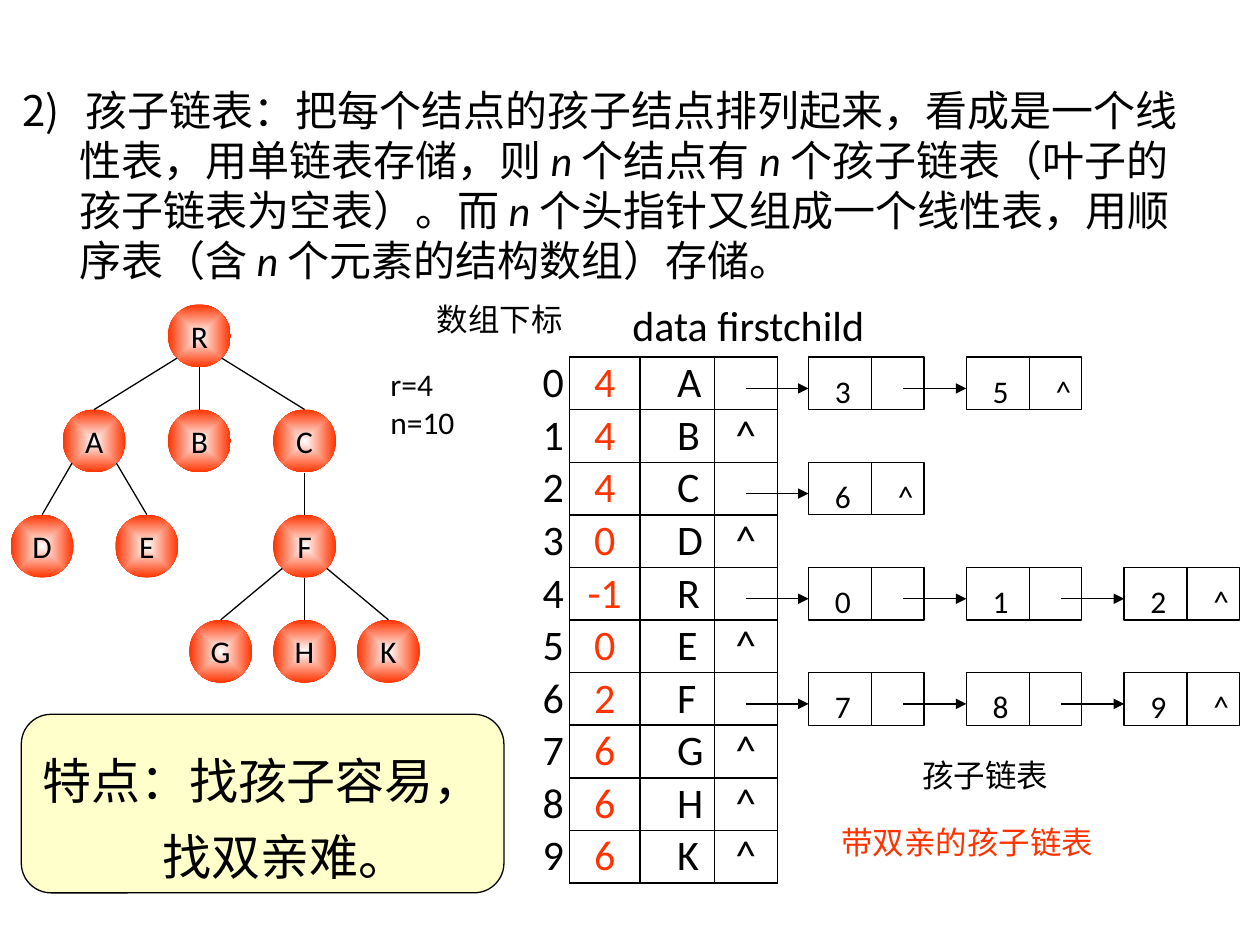
from lxml.etree import SubElement
from pptx import Presentation
from pptx.dml.color import RGBColor
from pptx.enum.shapes import MSO_CONNECTOR, MSO_SHAPE
from pptx.enum.text import MSO_ANCHOR, PP_ALIGN
from pptx.oxml import parse_xml
from pptx.oxml.ns import nsdecls, qn
from pptx.util import Cm, Pt

BLACK, RED, YELLOW, WHITE = "000000", "FF3300", "FFFFCC", "FFFFFF"
LATIN, CHINESE = "Calibri", "Noto Sans CJK SC"

INTRO = [
    ["孩子链表：把每个结点的孩子结点排列起来，看成是一个线"],
    ["性表，用单链表存储，则 ", "n ", "个结点有 ", "n ", "个孩子链表（叶子的"],
    ["孩子链表为空表）。而 ", "n ", "个头指针又组成一个线性表，用顺"],
    ["序表（含 ", "n ", "个元素的结构数组）存储。"],
]
PARENTS = [4, 4, 4, 0, -1, 0, 2, 6, 6, 6]
NAMES = "ABCDREFGHK"
CHAINS = {0: [3, 5], 2: [6], 4: [0, 1, 2], 6: [7, 8, 9]}
TREE = {
    "R": (4.02, 0), "A": (1.9, 1), "B": (4.02, 1), "C": (6.14, 1),
    "D": (0.85, 2), "E": (2.96, 2), "F": (6.14, 2),
    "G": (4.45, 3), "H": (6.14, 3), "K": (7.83, 3),
}
EDGES = ["RA", "RB", "RC", "AD", "AE", "CF", "FG", "FH", "FK"]
LABELS = [
    (["data firstchild"], (12.5, 5.92, 6.07, 1.27), 24, LATIN, BLACK),
    (["数组下标"], (8.56, 5.92, 4.14, 1.27), 18, LATIN, BLACK),
    (["r=4", "n=10"], (7.62, 7.24, 2.51, 2.29), 18, LATIN, BLACK),
    (["孩子链表"], (18.34, 15.11, 4.17, 1.27), 18, CHINESE, BLACK),
    (["带双亲的孩子链表"], (16.71, 16.46, 7.57, 1.27), 18, CHINESE, RED),
]
REMARK = ["特点：找孩子容易，", "找双亲难。"]

TABLE_LEFT, TABLE_TOP, ROW = 10.69, 7.2, 1.06
COLUMNS = [0.79, 1.42, 1.5, 1.27]
CHAIN_LEFT, CHAIN_STEP, NODE_WIDTH, DIVIDER = 16.3, 3.18, 2.33, 1.27
TREE_TOP, LEVEL, RADIUS = 6.77, 2.12, 0.635
NO_STYLE = "{2D5ABB26-0587-4C30-8999-92F81FD0307C}"


def color(value):
    return RGBColor.from_string(value)


def add_span(para, text, size, font=LATIN, ink=BLACK, italic=False):
    span = para.add_run()
    span.text = text
    for name, value in {"name": font, "size": Pt(size), "italic": italic}.items():
        setattr(span.font, name, value)
    span.font.color.rgb = color(ink)
    SubElement(span.font._element, qn("a:ea"), typeface=CHINESE)


def set_frame(frame, anchor=MSO_ANCHOR.TOP, **margins):
    frame.word_wrap = True
    frame.vertical_anchor = anchor
    for side, value in margins.items():
        setattr(frame, f"margin_{side}", Cm(value))


def next_para(frame, index):
    return frame.add_paragraph() if index else frame.paragraphs[0]


def indent(para, left, first=0):
    properties = para._p.get_or_add_pPr()
    properties.set("marL", str(Cm(left)))
    properties.set("indent", str(Cm(first)))
    return properties


def add_line(page, start, end, width=0.75, arrow=False):
    line = page.shapes.add_connector(
        MSO_CONNECTOR.STRAIGHT, *(Cm(value) for value in (*start, *end)))
    line.line.color.rgb = color(BLACK)
    line.line.width = Pt(width)
    if arrow:
        SubElement(line.line._get_or_add_ln(), qn("a:tailEnd"), type="triangle")
    SubElement(line._element.spPr, qn("a:effectLst"))


def add_box(page, kind, place, fill=None):
    box = page.shapes.add_shape(kind, *(Cm(value) for value in place))
    box.shadow.inherit = False
    if fill:
        box.fill.solid()
        box.fill.fore_color.rgb = color(fill)
    else:
        box.fill.background()
    box.line.color.rgb = color(BLACK)
    box.line.width = Pt(0.75)
    return box


def add_intro(page):
    frame = page.shapes.add_textbox(Cm(0.2), Cm(1.47), Cm(25), Cm(4.24)).text_frame
    set_frame(frame, top=0.23)
    for index, pieces in enumerate(INTRO):
        para = next_para(frame, index)
        para.line_spacing = Pt(28.7)
        if index:
            indent(para, 1.15)
        else:
            SubElement(indent(para, 1.27, -1.27), qn("a:buAutoNum"),
                       type="arabicParenR", startAt="2")
        for piece in pieces:
            add_span(para, piece, 24, italic=piece == "n ")


def add_border(cell, sides):
    properties = cell._tc.get_or_add_tcPr()
    for position, side in enumerate(sides):
        properties.insert(position, parse_xml(
            f'<a:ln{side} {nsdecls("a")} w="12700"><a:solidFill>'
            f'<a:srgbClr val="{BLACK}"/></a:solidFill></a:ln{side}>'))


def add_node_table(page):
    rows = [(index, parent, name, "" if index in CHAINS else "^")
            for index, (parent, name) in enumerate(zip(PARENTS, NAMES))]
    table = page.shapes.add_table(
        len(rows), len(COLUMNS), Cm(TABLE_LEFT), Cm(TABLE_TOP),
        Cm(sum(COLUMNS)), Cm(ROW * len(rows))).table
    table.first_row = table.horz_banding = False
    table._tbl.tblPr.find(qn("a:tableStyleId")).text = NO_STYLE
    for column, width in zip(table.columns, COLUMNS):
        column.width = Cm(width)
    for row_index, values in enumerate(rows):
        table.rows[row_index].height = Cm(ROW)
        for column, value in enumerate(values):
            cell = table.cell(row_index, column)
            cell.fill.background()
            cell.vertical_anchor = MSO_ANCHOR.MIDDLE
            cell.margin_top = cell.margin_bottom = cell.margin_right = 0
            cell.margin_left = Cm((0.25, 0, 0.75, 0)[column])
            para = cell.text_frame.paragraphs[0]
            para.alignment = PP_ALIGN.CENTER if column in (1, 3) else PP_ALIGN.LEFT
            add_span(para, str(value), 24, ink=RED if column == 1 else BLACK)
            add_border(cell, "LRTB" if column else "R")


def add_chains(page):
    for row, nodes in CHAINS.items():
        top = TABLE_TOP + row * ROW
        for position, node in enumerate(nodes):
            left = CHAIN_LEFT + position * CHAIN_STEP
            box = add_box(page, MSO_SHAPE.RECTANGLE, (left, top, NODE_WIDTH, ROW))
            set_frame(box.text_frame, MSO_ANCHOR.MIDDLE,
                      left=0.53, right=0, top=0.3, bottom=0)
            para = box.text_frame.paragraphs[0]
            para.alignment = PP_ALIGN.LEFT
            tabs = SubElement(indent(para, 0), qn("a:tabLst"))
            SubElement(tabs, qn("a:tab"), pos=str(Cm(1.05)), algn="l")
            is_last = position == len(nodes) - 1
            add_span(para, f"{node}\t^" if is_last else str(node), 18)
            add_line(page, (left + DIVIDER, top), (left + DIVIDER, top + ROW))
            add_line(page, (left - 1.27, top + 0.63), (left, top + 0.63), arrow=True)


def add_tree(page):
    centers = {name: (x, TREE_TOP + level * LEVEL) for name, (x, level) in TREE.items()}
    for name, (x, y) in centers.items():
        box = add_box(page, MSO_SHAPE.OVAL,
                      (x - RADIUS, y - RADIUS, 2 * RADIUS, 2 * RADIUS))
        box.line.fill.background()
        properties = box._element.spPr
        properties.replace(properties.find(qn("a:noFill")), parse_xml(
            f'<a:gradFill {nsdecls("a")} rotWithShape="1"><a:gsLst>'
            f'<a:gs pos="0"><a:srgbClr val="{WHITE}"/></a:gs>'
            f'<a:gs pos="100000"><a:srgbClr val="{RED}"/></a:gs></a:gsLst>'
            '<a:path path="shape"><a:fillToRect l="50000" t="50000" r="50000" '
            'b="50000"/></a:path></a:gradFill>'))
        set_frame(box.text_frame, MSO_ANCHOR.MIDDLE, left=0, right=0)
        para = box.text_frame.paragraphs[0]
        para.alignment = PP_ALIGN.CENTER
        add_span(para, name, 18)
    for parent, child in EDGES:
        (x, y), (child_x, child_y) = centers[parent], centers[child]
        side = (child_x > x) - (child_x < x)
        reach = RADIUS * (0.707 if side else 1)
        add_line(page, (x + side * reach, y + reach), (child_x, child_y - RADIUS))


def add_labels(page):
    for lines, place, size, font, ink in LABELS:
        frame = page.shapes.add_textbox(*(Cm(value) for value in place)).text_frame
        set_frame(frame)
        for index, text in enumerate(lines):
            add_span(next_para(frame, index), text, size, font, ink)


def add_remark(page):
    box = add_box(page, MSO_SHAPE.ROUNDED_RECTANGLE, (0.43, 14.4, 9.73, 3.6), YELLOW)
    set_frame(box.text_frame, MSO_ANCHOR.MIDDLE, right=0, top=0.35)
    for index, text in enumerate(REMARK):
        para = next_para(box.text_frame, index)
        para.alignment = PP_ALIGN.LEFT
        para.line_spacing = Pt(43.5)
        indent(para, 2.42 * index)
        add_span(para, text, 28, "Arial")


def main():
    deck = Presentation()
    deck.slide_width, deck.slide_height = Cm(25.4), Cm(19.05)
    page = deck.slides.add_slide(deck.slide_layouts[6])
    for build in (add_intro, add_node_table, add_chains, add_remark, add_tree, add_labels):
        build(page)
    deck.save("out.pptx")


if __name__ == "__main__":
    main()
